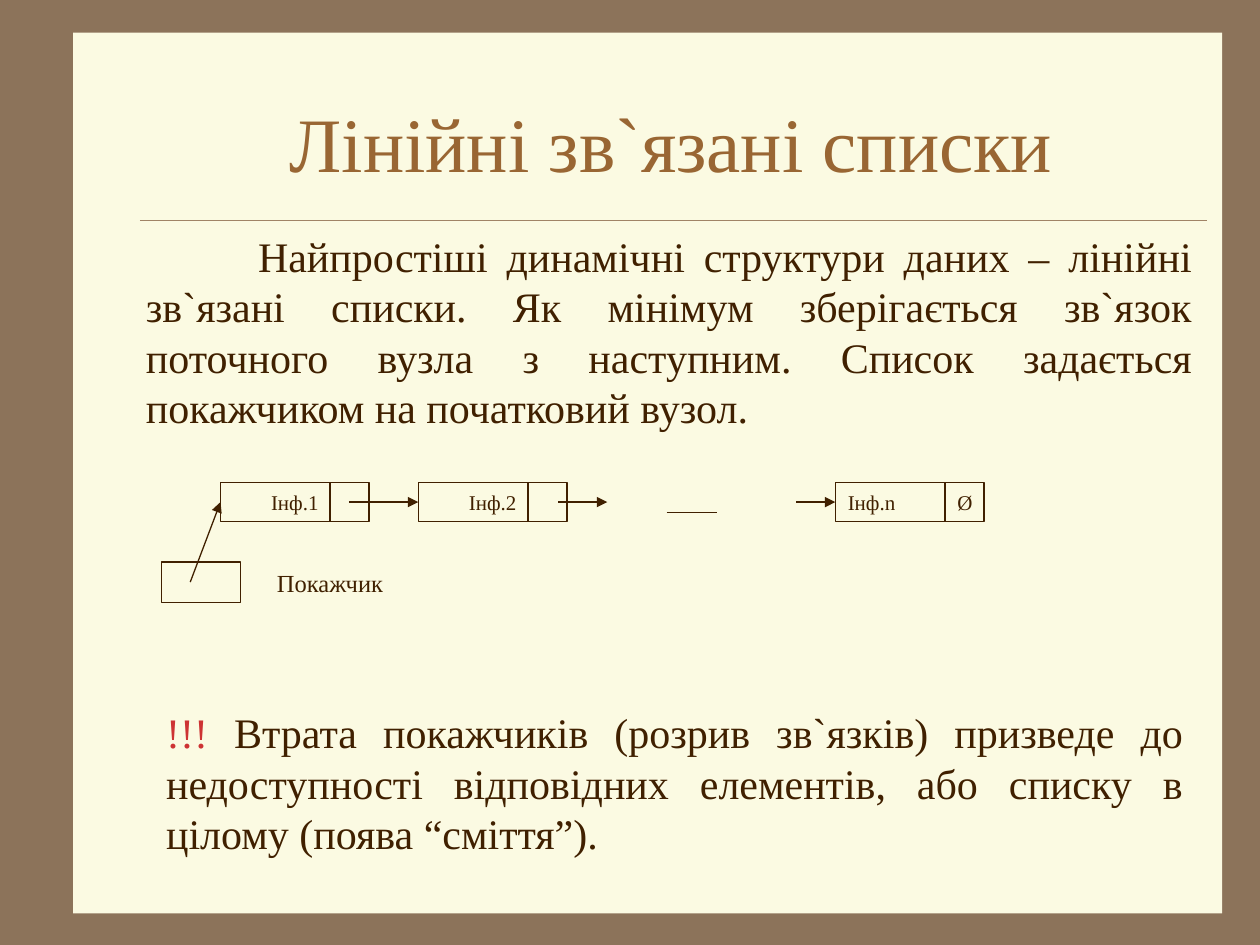
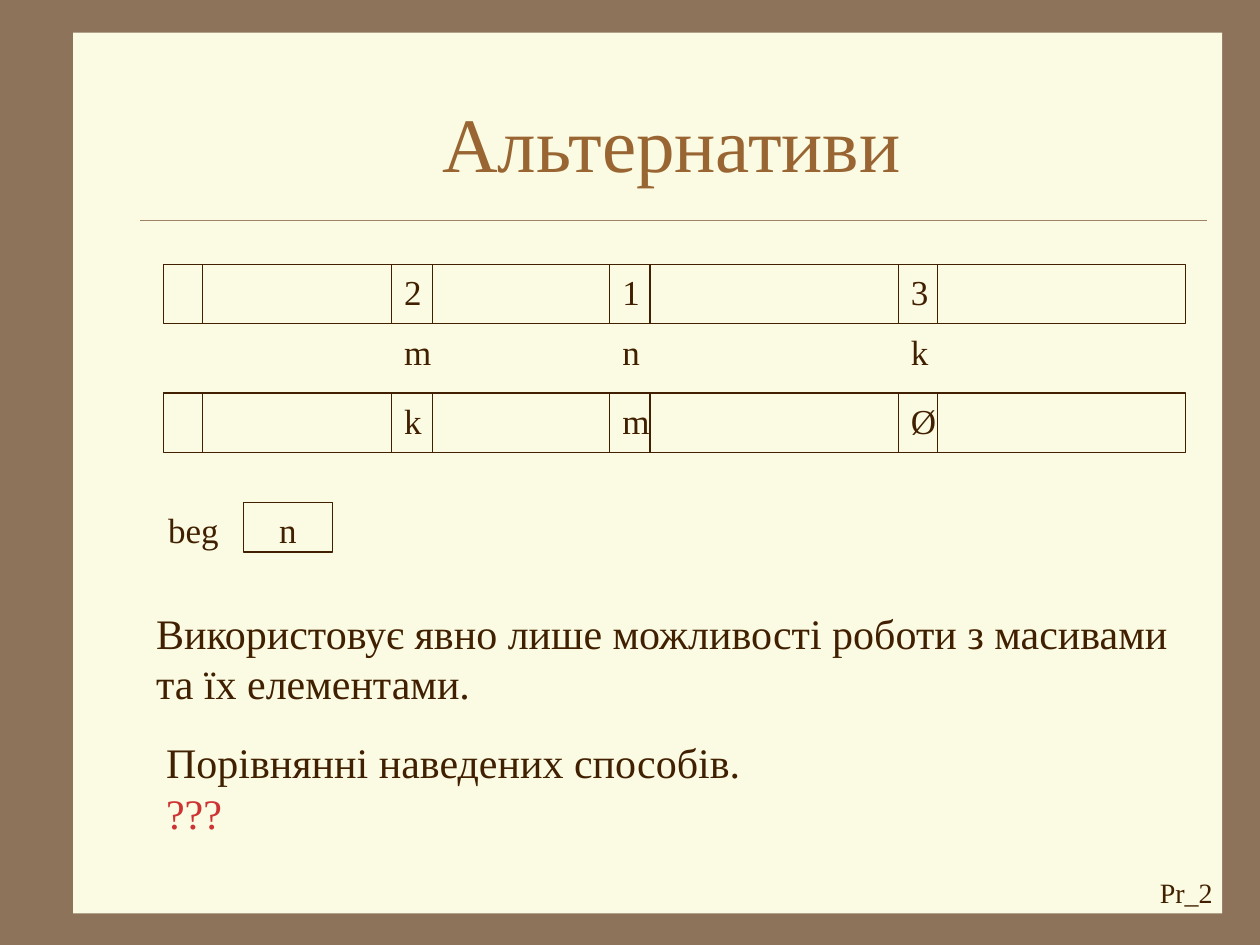
from lxml import etree
from pptx import Presentation
from pptx.dml.color import RGBColor
from pptx.enum.shapes import MSO_CONNECTOR, MSO_SHAPE
from pptx.enum.text import MSO_ANCHOR, PP_ALIGN
from pptx.oxml.ns import qn
from pptx.util import Inches, Pt

RECT, STRAIGHT = MSO_SHAPE.RECTANGLE, MSO_CONNECTOR.STRAIGHT
LEFT, CENTER, JUST = PP_ALIGN.LEFT, PP_ALIGN.CENTER, PP_ALIGN.JUSTIFY
TOP, MIDDLE = MSO_ANCHOR.TOP, MSO_ANCHOR.MIDDLE
FONT = "Times New Roman"
HEX = {"back": "8C735A", "panel": "FBFAE2", "rule": "A08366",
       "title": "996633", "ink": "402000", "red": "CD3333"}
RGB = {name: RGBColor.from_string(code) for name, code in HEX.items()}


def box(slide, at, paras=(), size=24, align=LEFT, framed=False, anchor=TOP, wrap=True):
    """Add a text box or a framed cell; each paragraph is a list of (text, colour)."""
    spot = [Inches(v) for v in at]
    if framed:
        shape = slide.shapes.add_shape(RECT, *spot)
        shape.shadow.inherit = False
        shape.fill.background()
        shape.line.color.rgb = RGB["ink"]
        shape.line.width = Pt(0.75)
    else:
        shape = slide.shapes.add_textbox(*spot)
    frame = shape.text_frame
    frame.word_wrap = wrap
    frame.vertical_anchor = anchor
    for i, runs in enumerate(paras):
        para = frame.add_paragraph() if i else frame.paragraphs[0]
        para.alignment = align
        for text, tone in runs:
            run = para.add_run()
            run.text = text
            run.font.name = FONT
            run.font.size = Pt(size)
            run.font.color.rgb = RGB[tone]
    return shape


def link(slide, x1, y1, x2, y2, arrow=False, tone="ink", width=0.75):
    """Add a straight line, with an arrowhead at its end if asked."""
    line = slide.shapes.add_connector(STRAIGHT, *[Inches(v) for v in (x1, y1, x2, y2)])
    line.line.color.rgb = RGB[tone]
    line.line.width = Pt(width)
    if arrow:
        etree.SubElement(line.line._get_or_add_ln(), qn("a:tailEnd"), type="triangle")
    etree.SubElement(line._element.spPr, qn("a:effectLst"))


deck = Presentation()
deck.slide_width, deck.slide_height = Inches(10), Inches(7.5)

# Shared look: background, panel, title, rule
slides = []
for head in ("Лінійні зв`язані списки", "Альтернативи"):
    slide = deck.slides.add_slide(deck.slide_layouts[5])
    slide.background.fill.solid()
    slide.background.fill.fore_color.rgb = RGB["back"]
    panel = slide.shapes.add_shape(RECT, Inches(0.58), Inches(0.26), Inches(9.12), Inches(6.99))
    panel.shadow.inherit = False
    panel.fill.solid()
    panel.fill.fore_color.rgb = RGB["panel"]
    panel.line.fill.background()
    slide.shapes.element.insert(2, panel.element)
    title = slide.shapes.title
    title.left, title.top, title.width, title.height = [Inches(v) for v in (1.08, 0.5, 8.5, 1.25)]
    title.text_frame.vertical_anchor = MIDDLE
    para = title.text_frame.paragraphs[0]
    para.alignment = CENTER
    run = para.add_run()
    run.text = head
    run.font.name = FONT
    run.font.size = Pt(44)
    run.font.color.rgb = RGB["title"]
    link(slide, 1.11, 1.75, 9.58, 1.75, tone="rule", width=0.25)
    slides.append(slide)
lists, alts = slides

# Slide 1: introduction with a first-line indent
intro = box(lists, (1.06, 1.78, 8.5, 1.7), [[(
    "Найпростіші динамічні структури даних – лінійні зв`язані списки. "
    "Як мінімум зберігається зв`язок поточного вузла з наступним. "
    "Список задається покажчиком на початковий вузол.", "ink")]], align=JUST)
intro.text_frame.paragraphs[0]._p.get_or_add_pPr().set("indent", str(Inches(0.89)))

# Nodes of the list, each with a link field
top, tall = 3.83, 0.31
mid = top + tall / 2
for x, name in ((1.75, "Інф.1"), (3.32, "Інф.2")):
    box(lists, (x, top, 1.18, tall), [[(name, "ink")]], 12, CENTER, True, MIDDLE, False)
last = box(lists, (6.63, top, 1.18, tall), [[("Інф.n\tØ", "ink")]], 12, LEFT, True, MIDDLE)
last.text_frame.margin_right = 0
stops = etree.SubElement(last.text_frame.paragraphs[0]._p.get_or_add_pPr(), qn("a:tabLst"))
etree.SubElement(stops, qn("a:tab"), pos=str(Inches(0.87)), algn="l")
for x in (1.75, 3.32, 6.63):
    link(lists, x + 0.87, top, x + 0.87, top + tall)
for start, end in ((2.77, 3.32), (4.43, 4.82), (6.32, 6.63)):
    link(lists, start, mid, end, mid, arrow=True)
link(lists, 5.29, 4.07, 5.69, 4.07)

# Pointer to the first node
link(lists, 1.51, 4.62, 1.75, mid, arrow=True)
box(lists, (1.28, 4.46, 0.63, 0.32), framed=True)
box(lists, (1.99, 4.46, 1.26, 0.34), [[("Покажчик", "ink")]], 14, CENTER)

# Warning
box(lists, (1.22, 5.56, 8.27, 1.3), [[("!!! ", "red"), (
    "Втрата покажчиків (розрив зв`язків) призведе до недоступності "
    "відповідних елементів, або списку в цілому (поява “сміття”).", "ink")]], align=JUST)

# Slide 2: two parallel arrays with their marks
for y in (2.1, 3.12):
    box(alts, (1.3, y, 8.11, 0.47), framed=True)
    for x in (1.61, 3.11, 3.43, 4.84, 5.16, 7.13, 7.44):
        link(alts, x, y, x, y + 0.47)
for y, marks in ((2.1, "213"), (2.57, "mnk"), (3.12, "kmØ")):
    for x, mark in zip((3.11, 4.84, 7.13), marks):
        box(alts, (x, y, 0.32, 0.44), [[(mark, "ink")]], 20, CENTER)

# Start index
box(alts, (1.93, 3.99, 0.71, 0.39), [[("n", "ink")]], 20, CENTER, True)
box(alts, (1.22, 3.99, 0.63, 0.44), [[("beg", "ink")]], 20, CENTER)

# Remarks and page mark
box(alts, (1.14, 4.77, 8.35, 0.9), [[(
    "Використовує явно лише можливості роботи з масивами та їх елементами.", "ink")]])
box(alts, (1.22, 5.8, 8.19, 0.9), [[("Порівнянні наведених способів.", "ink")], [("???", "red")]])
box(alts, (9.1, 6.9, 0.63, 0.37), [[("Pr_2", "ink")]], 16, CENTER)

deck.save("out.pptx")
